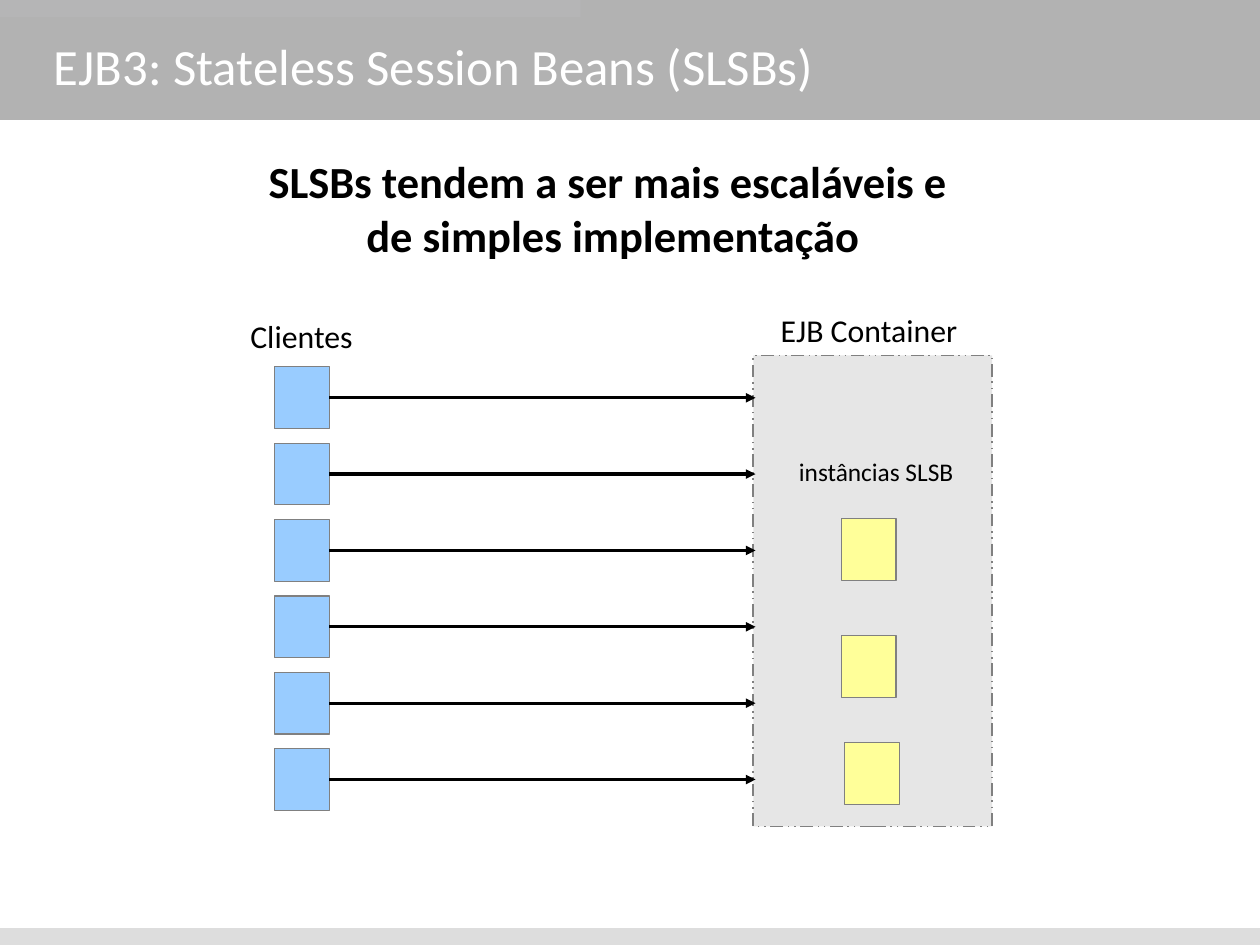
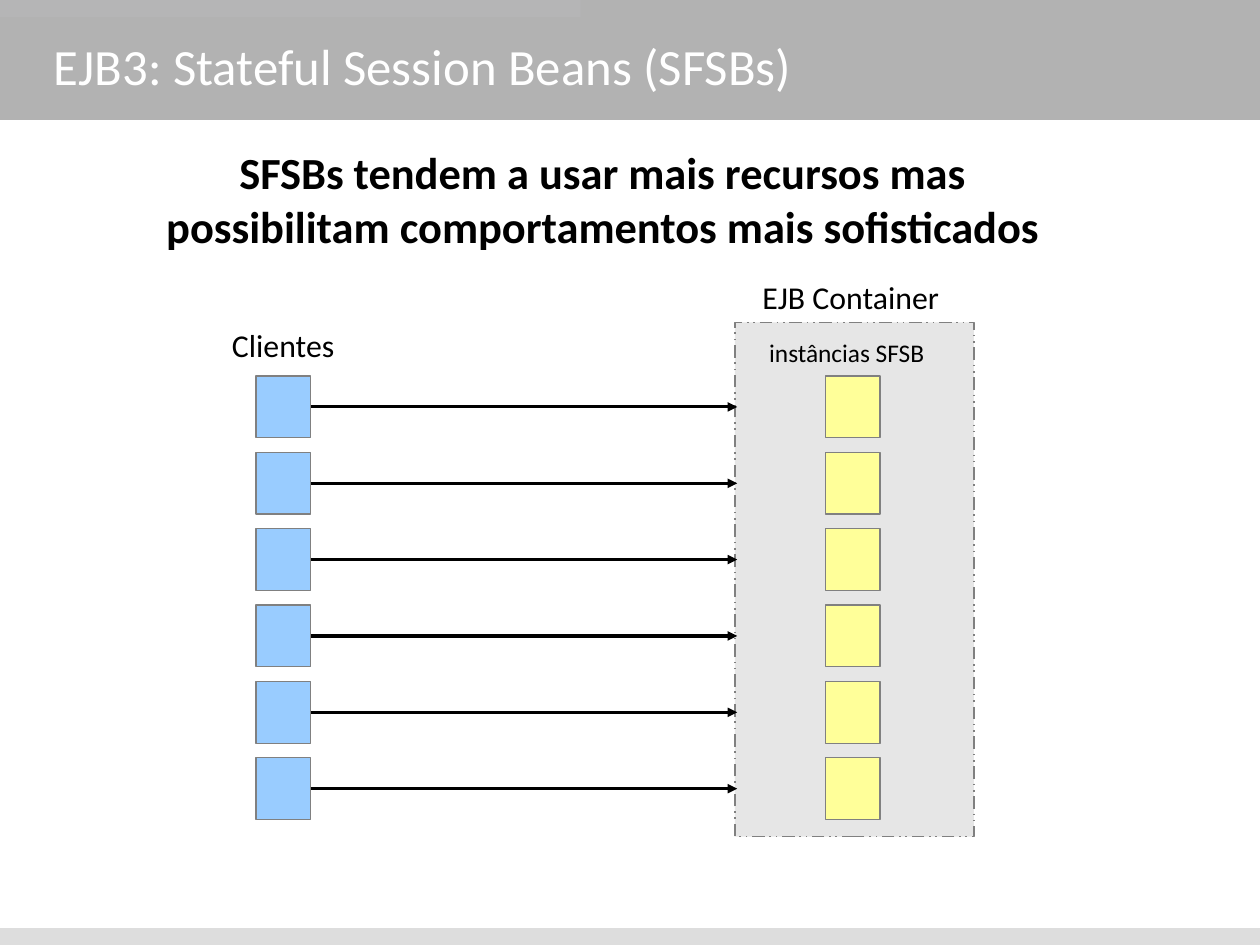
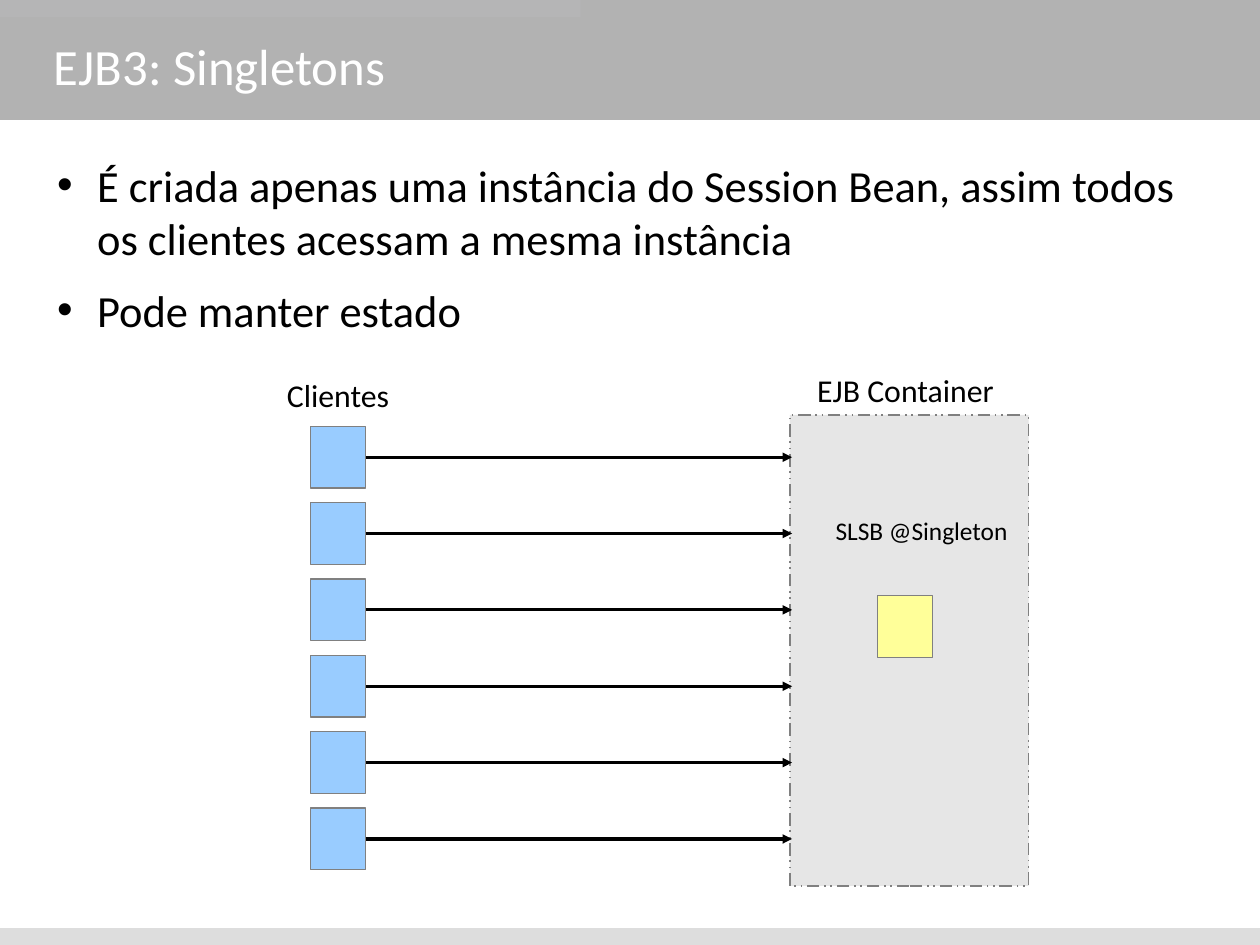
from dataclasses import dataclass
from typing import Optional

import pptx
import pptx.dml.color
import pptx.enum.dml
import pptx.enum.shapes
import pptx.enum.text
import pptx.oxml
import pptx.oxml.ns
import pptx.util
from pptx.util import Inches

Align = pptx.enum.text.PP_ALIGN
Rgb = pptx.dml.color.RGBColor


@dataclass(frozen=True)
class Theme:
    font: str = "Calibri"
    bullet_font: str = "Arial"
    band: str = "B2B2B2"
    accent: str = "B5B5B6"
    footer: str = "DDDDDD"
    client: str = "99CCFF"
    instance: str = "FFFF99"
    container: str = "E6E6E6"
    outline: str = "808080"
    ink: str = "000000"
    title_ink: str = "FFFFFF"
    title_size: int = 32
    body_size: int = 28
    label_size: int = 20
    caption_size: int = 16


@dataclass(frozen=True)
class Box:
    left: float
    top: float
    width: float
    height: float

    def lengths(self) -> tuple:
        return tuple(Inches(v) for v in (self.left, self.top, self.width, self.height))


@dataclass(frozen=True)
class Line:
    text: str
    align: Optional[Align] = None


@dataclass(frozen=True)
class Diagram:
    left: float
    top: float
    container_top: float
    container_height: float
    caption: str
    caption_box: Box
    instances: tuple[tuple[float, float], ...]


@dataclass(frozen=True)
class Page:
    title: str
    lines: tuple[Line, ...]
    text_box: Box
    bulleted: bool
    diagram: Diagram


THEME = Theme()
CM_PER_INCH = 2.54
SLIDE_WIDTH, SLIDE_HEIGHT = 28 / CM_PER_INCH, 21 / CM_PER_INCH
TITLE_BOX = Box(0.47, 0.08, 9.77, 0.98)
BANDS = (
    (Box(0, 0, SLIDE_WIDTH, 1.05), THEME.band),
    (Box(0, 0, 5.08, 0.15), THEME.accent),
    (Box(0, 8.12, SLIDE_WIDTH, SLIDE_HEIGHT - 8.12), THEME.footer),
)
CLIENT_COUNT = 6
PITCH = 3.34 / (CLIENT_COUNT - 1)
NODE_WIDTH, NODE_HEIGHT = 0.48, 0.54
CONTAINER_OFFSET, CONTAINER_WIDTH = 4.19, 2.09
ARROW_REACH = 4.21

PAGES = (
    Page(
        "EJB3: Stateless Session Beans (SLSBs)",
        (Line("SLSBs tendem a ser mais escaláveis e"),
         Line("de simples implementação", Align.CENTER)),
        Box(2.35, 1.35, 6.02, 0.95),
        False,
        Diagram(2.4, 3.21, 3.11, 4.12, "instâncias SLSB", Box(6.99, 3.99, 1.36, 0.27),
                ((7.36, 4.54), (7.36, 5.56), (7.39, 6.5))),
    ),
    Page(
        "EJB3: Stateful Session Beans (SFSBs)",
        (Line("SFSBs tendem a usar mais recursos mas", Align.CENTER),
         Line("possibilitam comportamentos mais sofisticados", Align.CENTER)),
        Box(1.44, 1.27, 7.66, 0.95),
        False,
        Diagram(2.24, 3.29, 2.82, 4.5, "instâncias SFSB", Box(6.73, 2.95, 1.37, 0.27),
                tuple((7.22, 3.29 + row * PITCH) for row in range(CLIENT_COUNT))),
    ),
    Page(
        "EJB3: Singletons",
        (Line("É criada apenas uma instância do Session Bean, assim todos "
              "os clientes acessam a mesma instância"),
         Line("Pode manter estado")),
        Box(0.38, 1.38, 10.25, 3.12),
        True,
        Diagram(2.72, 3.73, 3.63, 4.12, "SLSB @Singleton", Box(7.31, 4.51, 1.51, 0.27),
                ((7.68, 5.21),)),
    ),
)


def add_rectangle(slide, box: Box, fill: str, line_width: Optional[float] = None):
    rectangle = slide.shapes.add_shape(
        pptx.enum.shapes.MSO_SHAPE.RECTANGLE, *box.lengths())
    rectangle.shadow.inherit = False
    rectangle.fill.solid()
    rectangle.fill.fore_color.rgb = Rgb.from_string(fill)
    if line_width is None:
        rectangle.line.fill.background()
    else:
        rectangle.line.color.rgb = Rgb.from_string(THEME.outline)
        rectangle.line.width = pptx.util.Pt(line_width)
    return rectangle


def add_bullet(paragraph) -> None:
    properties = paragraph._p.get_or_add_pPr()
    properties.set("marL", str(Inches(0.47)))
    properties.set("indent", str(Inches(-0.35)))
    paragraph.space_after = pptx.util.Pt(11.4)
    namespace = pptx.oxml.ns.nsdecls("a")
    for element in (f'<a:buFont {namespace} typeface="{THEME.bullet_font}"/>',
                    f'<a:buChar {namespace} char="•"/>'):
        properties.append(pptx.oxml.parse_xml(element))


def add_text(slide, box: Box, lines: tuple[Line, ...], size: int,
             color: str = THEME.ink, bold: bool = False, bulleted: bool = False,
             wrap: bool = True, middle: bool = False) -> None:
    frame = slide.shapes.add_textbox(*box.lengths()).text_frame
    frame.margin_left = frame.margin_right = 0
    frame.margin_top = frame.margin_bottom = 0
    frame.word_wrap = wrap
    sizing = pptx.enum.text.MSO_AUTO_SIZE
    frame.auto_size = sizing.NONE if wrap else sizing.SHAPE_TO_FIT_TEXT
    anchor = pptx.enum.text.MSO_ANCHOR
    frame.vertical_anchor = anchor.MIDDLE if middle else anchor.TOP
    for index, line in enumerate(lines):
        paragraph = frame.add_paragraph() if index else frame.paragraphs[0]
        paragraph.alignment = line.align
        if bulleted:
            add_bullet(paragraph)
        run = paragraph.add_run()
        run.text = line.text
        run.font.name = THEME.font
        run.font.size = pptx.util.Pt(size)
        run.font.bold = bold
        run.font.color.rgb = Rgb.from_string(color)


def add_request_arrow(slide, client, start: Box, reach: float) -> None:
    middle = Inches(start.top + start.height / 2)
    arrow = slide.shapes.add_connector(
        pptx.enum.shapes.MSO_CONNECTOR.STRAIGHT,
        Inches(start.left + start.width), middle, Inches(reach), middle)
    arrow.begin_connect(client, 3)
    arrow.line.color.rgb = Rgb.from_string(THEME.ink)
    arrow.line.width = pptx.util.Pt(2)
    namespace = pptx.oxml.ns.nsdecls("a")
    arrow.line._get_or_add_ln().append(
        pptx.oxml.parse_xml(f'<a:tailEnd {namespace} type="triangle"/>'))
    arrow._element.spPr.append(pptx.oxml.parse_xml(f"<a:effectLst {namespace}/>"))


def add_diagram(slide, diagram: Diagram) -> None:
    container_left = diagram.left + CONTAINER_OFFSET
    container = add_rectangle(
        slide, Box(container_left, diagram.container_top, CONTAINER_WIDTH,
                   diagram.container_height), THEME.container, 1)
    container.line.dash_style = pptx.enum.dml.MSO_LINE.DASH_DOT_DOT
    for row in range(CLIENT_COUNT):
        place = Box(diagram.left, diagram.top + row * PITCH, NODE_WIDTH, NODE_HEIGHT)
        client = add_rectangle(slide, place, THEME.client, 0)
        add_request_arrow(slide, client, place, diagram.left + ARROW_REACH)
    for left, top in diagram.instances:
        add_rectangle(slide, Box(left, top, NODE_WIDTH, NODE_HEIGHT), THEME.instance, 0)
    labels = (
        ("Clientes", Box(diagram.left - 0.21, diagram.top - 0.44, 0.9, 0.34),
         THEME.label_size),
        ("EJB Container",
         Box(container_left + 0.24, diagram.container_top - 0.39, 1.55, 0.34),
         THEME.label_size),
        (diagram.caption, diagram.caption_box, THEME.caption_size),
    )
    for text, box, size in labels:
        add_text(slide, box, (Line(text),), size, wrap=False)


def add_page(presentation, page: Page) -> None:
    slide = presentation.slides.add_slide(presentation.slide_layouts[6])
    for box, color in BANDS:
        add_rectangle(slide, box, color)
    add_text(slide, TITLE_BOX, (Line(page.title),), THEME.title_size,
             THEME.title_ink, middle=True)
    add_diagram(slide, page.diagram)
    add_text(slide, page.text_box, page.lines, THEME.body_size,
             bold=not page.bulleted, bulleted=page.bulleted)


def main() -> None:
    presentation = pptx.Presentation()
    presentation.slide_width = Inches(SLIDE_WIDTH)
    presentation.slide_height = Inches(SLIDE_HEIGHT)
    for page in PAGES:
        add_page(presentation, page)
    presentation.save("out.pptx")


if __name__ == "__main__":
    main()
